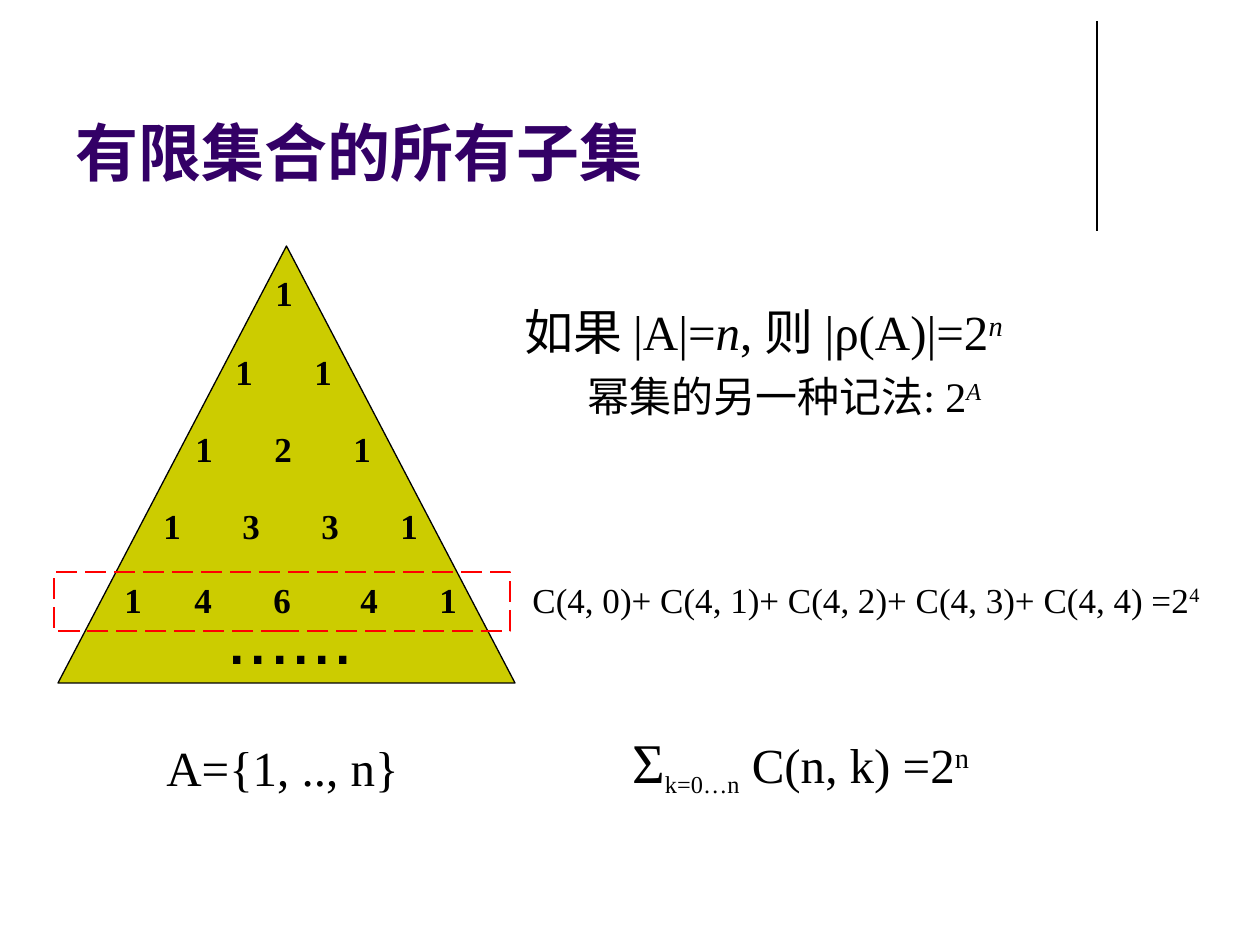
import pptx
import pptx.dml.color
import pptx.enum.dml
import pptx.enum.shapes
import pptx.enum.text
import pptx.oxml
import pptx.oxml.ns
import pptx.util

RGB = pptx.dml.color.RGBColor
BLACK = RGB(0, 0, 0)
PURPLE = RGB(0x33, 0x00, 0x66)
OLIVE = RGB(0xCC, 0xCC, 0x00)
RED = RGB(0xFF, 0x00, 0x00)
SERIF, SANS = "Times New Roman", "Arial"
SHAPE = pptx.enum.shapes.MSO_SHAPE
UNIT = 914400 / 126
STEP = 79

# Rows of the triangle: left, top, width, numbers, tab stops
ROWS = [
    (263, 265, 79, "1", []),
    (223, 344, 139, "1 1", [STEP]),
    (183, 421, 228, "1 2 1", [STEP, 2 * STEP]),
    (151, 498, 297, "1 3 3 1", [STEP, 2 * STEP, 3 * STEP]),
    (112, 572, 377, "1 4 6 4 1", [70, 149, 236, 315]),
]


def px(n):
    return pptx.util.Emu(round(n * UNIT))


def box(parent, *place):
    frame = parent.add_textbox(*map(px, place)).text_frame
    frame.word_wrap = True
    return frame


def write(para, parts, font=SERIF, color=BLACK, bold=False):
    """Add runs given as (text, size, italic, baseline percent)."""
    for text, size, slant, base in parts:
        run = para.add_run()
        run.text = text
        run.font.size = pptx.util.Pt(size)
        run.font.name = font
        run.font.bold = bold
        run.font.italic = slant
        run.font.color.rgb = color
        if base:
            run._r.get_or_add_rPr().set("baseline", str(base * 1000))


def label(parent, place, parts, **style):
    frame = box(parent, *place)
    write(frame.paragraphs[0], parts, **style)
    return frame


def tabs(para, stops):
    props = para._p.get_or_add_pPr()
    items = pptx.oxml.ns.qn("a:tabLst")
    holder = props.makeelement(items, {})
    for stop in stops:
        holder.append(holder.makeelement(
            pptx.oxml.ns.qn("a:tab"), {"pos": str(px(stop)), "algn": "l"}))
    props.append(holder)


def row(parent, left, top, width, digits, stops):
    para = box(parent, left, top, width, 55).paragraphs[0]
    if stops:
        tabs(para, stops)
    write(para, [(digits.replace(" ", "\t"), 20, False, 0)], bold=True)


def figure(parent, kind, place, fill, color, width):
    shape = parent.add_shape(kind, *map(px, place))
    shape.shadow.inherit = False
    if fill is None:
        shape.fill.background()
    else:
        shape.fill.solid()
        shape.fill.fore_color.rgb = fill
    shape.line.color.rgb = color
    shape.line.width = pptx.util.Pt(width)
    return shape


def rule(parent, *ends):
    line = parent.add_connector(
        pptx.enum.shapes.MSO_CONNECTOR.STRAIGHT, *map(px, ends))
    line.line.color.rgb = BLACK
    line.line.width = pptx.util.Pt(0.75)
    props = line._element.spPr
    props.append(props.makeelement(pptx.oxml.ns.qn("a:effectLst"), {}))


def pascal(shapes):
    group = shapes.add_group_shape().shapes
    figure(group, SHAPE.ISOSCELES_TRIANGLE, (58, 246, 457, 437),
           OLIVE, BLACK, 0.75)
    for item in ROWS:
        row(group, *item)
    label(group, (214, 581, 228, 106), [("......", 44, False, 0)], font=SANS)
    frame = figure(group, SHAPE.RECTANGLE, (54, 572, 456, 59), None, RED, 1.5)
    frame.line.dash_style = pptx.enum.dml.MSO_LINE.LONG_DASH


def power(shapes):
    frame = label(shapes, (512, 284, 630, 145), [
        ("如果 |A|=", 28, False, 0), ("n", 28, True, 0),
        (", 则 |ρ(A)|=2", 28, False, 0), ("n", 28, True, 30)])
    note = frame.add_paragraph()
    note.level = 1
    props = note._p.get_or_add_pPr()
    props.set("marL", str(px(63)))
    props.set("indent", "0")
    write(note, [("幂集的另一种记法: 2", 24, False, 0), ("A", 24, True, 30)])
    for para in frame.paragraphs:
        para.line_spacing = 1.2


def main():
    deck = pptx.Presentation()
    deck.slide_width, deck.slide_height = px(1260), px(945)
    shapes = deck.slides.add_slide(deck.slide_layouts[6]).shapes

    # Heading
    rule(shapes, 1097, 21, 1097, 231)
    title = label(shapes, (63, 16, 1040, 179),
                  [("有限集合的所有子集", 36, False, 0)],
                  font=SANS, color=PURPLE, bold=True)
    title.vertical_anchor = pptx.enum.text.MSO_ANCHOR.BOTTOM

    # Triangle and formulas
    pascal(shapes)
    label(shapes, (154, 731, 277, 72), [("A={1, .., n}", 28, False, 0)])
    label(shapes, (620, 721, 441, 81), [
        ("Σ", 32, False, 0), ("k=0…n", 24, False, -25),
        (" C(n, k) =2", 28, False, 0), ("n", 28, False, 30)])
    label(shapes, (520, 572, 709, 55), [
        ("C(4, 0)+ C(4, 1)+ C(4, 2)+ C(4, 3)+ C(4, 4) =2", 20, False, 0),
        ("4", 20, False, 30)])
    power(shapes)
    deck.save("out.pptx")


if __name__ == "__main__":
    main()
